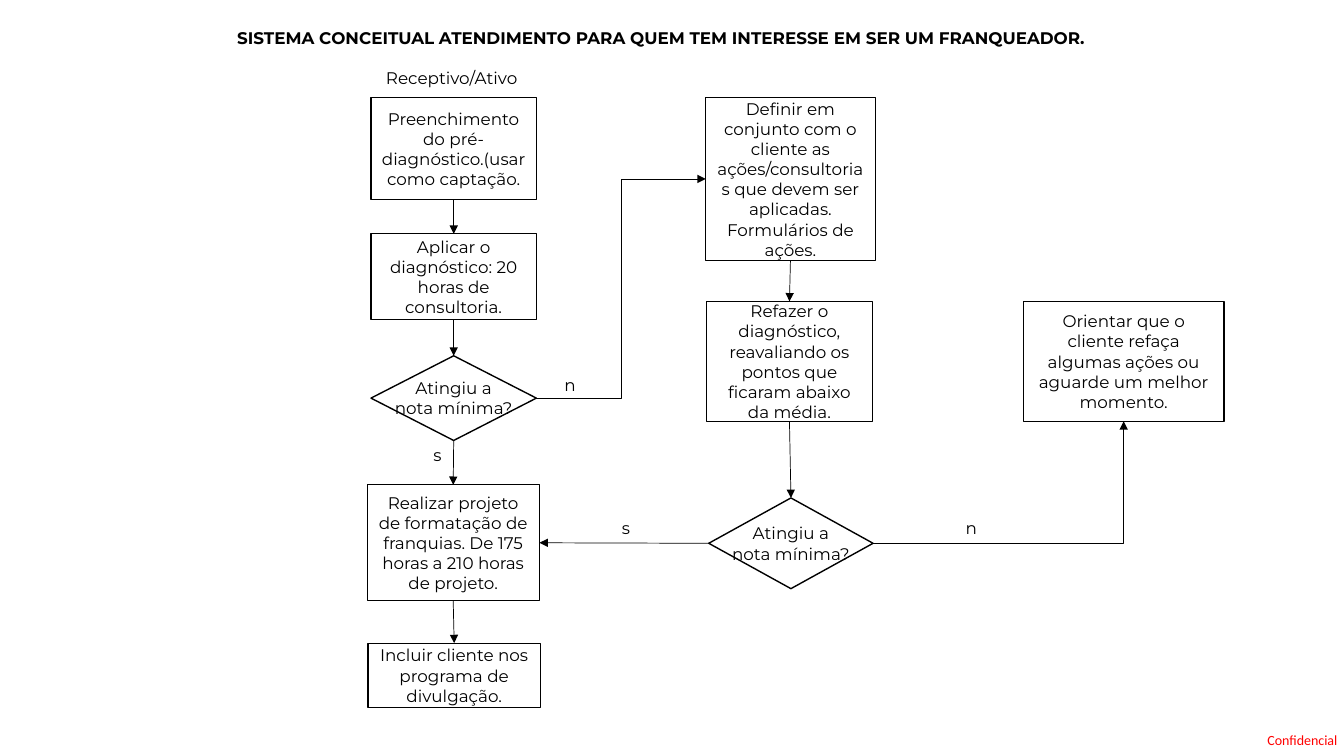
"""Build the flowchart slide for prospective franchisors."""
from lxml.etree import SubElement
from pptx import Presentation
from pptx.dml.color import RGBColor
from pptx.enum.shapes import MSO_CONNECTOR, MSO_SHAPE
from pptx.enum.text import MSO_ANCHOR, PP_ALIGN
from pptx.oxml.ns import qn
from pptx.util import Inches, Pt

BLACK = RGBColor(0, 0, 0)
WHITE = RGBColor(255, 255, 255)
RED = RGBColor(255, 0, 0)
TOP, LEFT, BOTTOM, RIGHT = range(4)

TITLE = "SISTEMA CONCEITUAL ATENDIMENTO PARA QUEM TEM INTERESSE EM SER UM FRANQUEADOR."
ASK = "Atingiu a\nnota mínima?"

STEPS = {
    "form": ("Preenchimento do pré-diagnóstico.(usar como captação.", 3.68, 0.97, 1.64, 1.01),
    "apply": ("Aplicar o diagnóstico: 20 horas de consultoria.", 3.68, 2.32, 1.64, 0.85),
    "plan": ("Definir em conjunto com o cliente as ações/consultorias que devem ser "
             "aplicadas. Formulários de ações.", 7, 0.97, 1.68, 1.61),
    "redo": ("Refazer o diagnóstico, reavaliando os pontos que ficaram abaixo da média.",
             7.01, 2.99, 1.64, 1.19),
    "wait": ("Orientar que o cliente refaça algumas ações ou aguarde um melhor momento.",
             10.15, 2.99, 1.99, 1.19),
    "project": ("Realizar projeto de formatação de franquias. De 175 horas a 210 horas "
                "de projeto.", 3.64, 4.81, 1.71, 1.15),
    "promote": ("Incluir cliente nos programa de divulgação.", 3.65, 6.38, 1.71, 0.64),
    "first": (ASK, 3.68, 3.53, 1.64, 0.84),
    "second": (ASK, 7.03, 4.94, 1.63, 0.9),
}
CHECKS = ("first", "second")

LINKS = [
    ("form", BOTTOM, "apply", TOP, None),
    ("apply", BOTTOM, "first", TOP, None),
    ("first", BOTTOM, "project", TOP, None),
    ("project", BOTTOM, "promote", TOP, None),
    ("plan", BOTTOM, "redo", TOP, None),
    ("redo", BOTTOM, "second", TOP, None),
    ("second", LEFT, "project", RIGHT, None),
    ("first", RIGHT, "plan", LEFT, "bentConnector3"),
    ("second", RIGHT, "wait", BOTTOM, "bentConnector2"),
]

LABELS = [
    ("Receptivo/Ativo", 3.73, 0.62, 1.53),
    ("s", 4.2, 4.36, 0.29),
    ("s", 6.07, 5.09, 0.28),
    ("n", 9.48, 5.09, 0.31),
    ("n", 5.5, 3.67, 0.31),
]


def write(shape, text, size=12, font="Montserrat", color=BLACK, bold=False,
          align=PP_ALIGN.CENTER, anchor=MSO_ANCHOR.MIDDLE, wrap=True, pad=(0.1, 0.05)):
    """Put formatted text into a shape."""
    frame = shape.text_frame
    frame.text = text
    frame.word_wrap = wrap
    frame.vertical_anchor = anchor
    frame.margin_left = frame.margin_right = Inches(pad[0])
    frame.margin_top = frame.margin_bottom = Inches(pad[1])
    for para in frame.paragraphs:
        para.alignment = align
        para.font.size = Pt(size)
        para.font.name = font
        para.font.bold = bold
        para.font.color.rgb = color


def add_step(slide, name):
    """Draw one process box or decision diamond."""
    text, *place = STEPS[name]
    check = name in CHECKS
    kind = MSO_SHAPE.FLOWCHART_DECISION if check else MSO_SHAPE.RECTANGLE
    shape = slide.shapes.add_shape(kind, *map(Inches, place))
    shape.shadow.inherit = False
    shape.fill.background()
    if check:
        shape.fill.solid()
        shape.fill.fore_color.rgb = WHITE
    shape.line.color.rgb = BLACK
    shape.line.width = Pt(1 if check else 0.75)
    write(shape, text, wrap=not check)
    return shape


def add_link(slide, start, out, end, into, bend):
    """Join two steps with an arrow."""
    kind = MSO_CONNECTOR.ELBOW if bend else MSO_CONNECTOR.STRAIGHT
    link = slide.shapes.add_connector(kind, 0, 0, 0, 0)
    link.begin_connect(start, out)
    link.end_connect(end, into)
    link.line.color.rgb = BLACK
    link.line.width = Pt(0.5)
    props = link._element.spPr
    if bend:
        props.find(qn("a:prstGeom")).set("prst", bend)
    SubElement(props.find(qn("a:ln")), qn("a:tailEnd"), type="triangle")
    SubElement(props, qn("a:effectLst"))


def main():
    """Build and save the slide."""
    deck = Presentation()
    deck.slide_width, deck.slide_height = Inches(13.33), Inches(7.5)
    slide = deck.slides.add_slide(deck.slide_layouts[5])
    title = slide.shapes.title
    title.left, title.top = Inches(1.36), Inches(0.22)
    title.width, title.height = Inches(10.4), Inches(0.31)
    write(title, TITLE, bold=True)

    steps = {name: add_step(slide, name) for name in STEPS}
    for start, out, end, into, bend in LINKS:
        add_link(slide, steps[start], out, steps[end], into, bend)
    for text, left, top, width in LABELS:
        box = slide.shapes.add_textbox(*map(Inches, (left, top, width, 0.3)))
        write(box, text, align=PP_ALIGN.LEFT, anchor=MSO_ANCHOR.TOP, wrap=False)

    mark = slide.shapes.add_textbox(*map(Inches, (12.57, 7.26, 0.73, 0.17)))
    write(mark, "Confidencial", size=10, font="Calibri", color=RED,
          align=PP_ALIGN.LEFT, anchor=MSO_ANCHOR.TOP, wrap=False, pad=(0, 0))
    deck.save("out.pptx")


if __name__ == "__main__":
    main()
